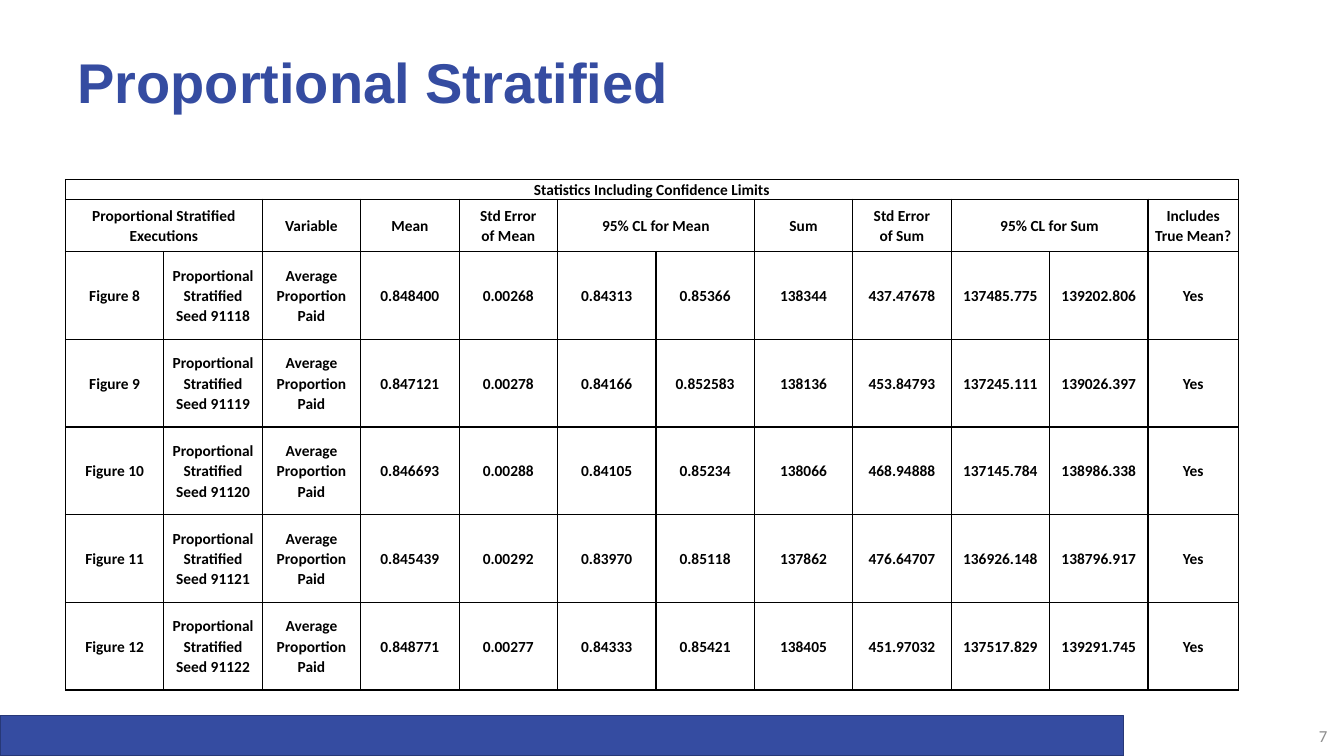
from pptx import Presentation
from pptx.dml.color import RGBColor
from pptx.enum import shapes, text
from pptx.oxml import parse_xml
from pptx.oxml.ns import nsdecls
from pptx.util import Cm, Pt

BLUE = RGBColor(0x35, 0x4C, 0xA1)
NAVY = RGBColor(0x27, 0x38, 0x77)
GREY = RGBColor(0x8C, 0x8C, 0x8C)
BLACK = RGBColor(0, 0, 0)

HEADS = ["Proportional Stratified Executions", None, "Variable", "Mean",
         "Std Error\vof Mean", "95% CL for Mean", None, "Sum",
         "Std Error\vof Sum", "95% CL for Sum", None, "Includes True Mean?"]
RUNS = [
    ("8", "91118", "0.848400 0.00268 0.84313 0.85366 138344 437.47678 137485.775 139202.806"),
    ("9", "91119", "0.847121 0.00278 0.84166 0.852583 138136 453.84793 137245.111 139026.397"),
    ("10", "91120", "0.846693 0.00288 0.84105 0.85234 138066 468.94888 137145.784 138986.338"),
    ("11", "91121", "0.845439 0.00292 0.83970 0.85118 137862 476.64707 136926.148 138796.917"),
    ("12", "91122", "0.848771 0.00277 0.84333 0.85421 138405 451.97032 137517.829 139291.745"),
]


class Deck:
    def __init__(self):
        self.file = Presentation()
        self.file.slide_width, self.file.slide_height = Cm(33.87), Cm(19.05)
        self.slide = self.file.slides.add_slide(self.file.slide_layouts[5])

    def style(self, frame, size, color, align, font="Calibri", bold=False, space=1.0):
        for para in frame.paragraphs:
            para.alignment, para.line_spacing = align, space
            for run in para.runs:
                run.font.name, run.font.size = font, Pt(size)
                run.font.bold, run.font.color.rgb = bold, color

    def title(self, words, x, y, w, h):
        head = self.slide.shapes.title
        head.left, head.top, head.width, head.height = Cm(x), Cm(y), Cm(w), Cm(h)
        frame = head.text_frame
        frame.text = words
        frame.vertical_anchor = text.MSO_ANCHOR.BOTTOM
        self.style(frame, 40, BLUE, text.PP_ALIGN.LEFT, "Arial", True, 0.9)

    def bar(self, x, y, w, h):
        bar = self.slide.shapes.add_shape(
            shapes.MSO_SHAPE.RECTANGLE, Cm(x), Cm(y), Cm(w), Cm(h))
        bar.shadow.inherit = False
        bar.fill.solid()
        bar.fill.fore_color.rgb = BLUE
        bar.line.color.rgb, bar.line.width = NAVY, Pt(1)

    def label(self, words, x, y, w, h):
        frame = self.slide.shapes.add_textbox(Cm(x), Cm(y), Cm(w), Cm(h)).text_frame
        frame.word_wrap = True
        frame.margin_left = frame.margin_right = 0
        frame.vertical_anchor = text.MSO_ANCHOR.MIDDLE
        frame.text = words
        self.style(frame, 12, GREY, text.PP_ALIGN.RIGHT)

    def border(self, cell):
        props = cell._tc.get_or_add_tcPr()
        for side in "LRTB":
            props.append(parse_xml(
                f'<a:ln{side} {nsdecls("a")} w="{Pt(1)}"><a:solidFill>'
                f'<a:srgbClr val="{BLACK}"/></a:solidFill></a:ln{side}>'))

    def table(self, rows, x, y, widths, heights):
        """Draw a ruled table; a None entry joins the cell to its left."""
        table = self.slide.shapes.add_table(
            len(rows), len(widths), Cm(x), Cm(y),
            Cm(sum(widths)), Cm(sum(heights))).table
        table.first_row = table.horz_banding = False
        for col, width in zip(table.columns, widths):
            col.width = Cm(width)
        for r, (row, height) in enumerate(zip(rows, heights)):
            table.rows[r].height = Cm(height)
            for c, words in enumerate(row):
                cell = table.cell(r, c)
                self.border(cell)
                cell.fill.background()
                cell.margin_left = cell.margin_right = Cm(0.1)
                cell.margin_top = cell.margin_bottom = 0
                if words is None:
                    continue
                cell.vertical_anchor = text.MSO_ANCHOR.MIDDLE if r else text.MSO_ANCHOR.TOP
                cell.text_frame.text = words
                self.style(cell.text_frame, 11, BLACK, text.PP_ALIGN.CENTER,
                           bold=True, space=1.07)
                end = c + 1
                while end < len(row) and row[end] is None:
                    end += 1
                if end > c + 1:
                    cell.merge(table.cell(r, end - 1))


def main():
    deck = Deck()
    deck.bar(0, 18.03, 28.32, 1.02)
    deck.label("7", 32.64, 18.03, 0.81, 1.02)
    deck.title("Proportional Stratified", 1.7, 0, 30.48, 3.05)
    rows = [["Statistics Including Confidence Limits"] + [None] * 11, HEADS]
    for figure, seed, values in RUNS:
        rows.append([f"Figure {figure}", f"Proportional Stratified Seed {seed}",
                     "Average Proportion Paid", *values.split(), "Yes"])
    deck.table(rows, 1.65, 4.52, [2.48] * 11 + [2.28],
               [0.43, 1.32] + [2.21] * len(RUNS))
    deck.file.save("out.pptx")


if __name__ == "__main__":
    main()
